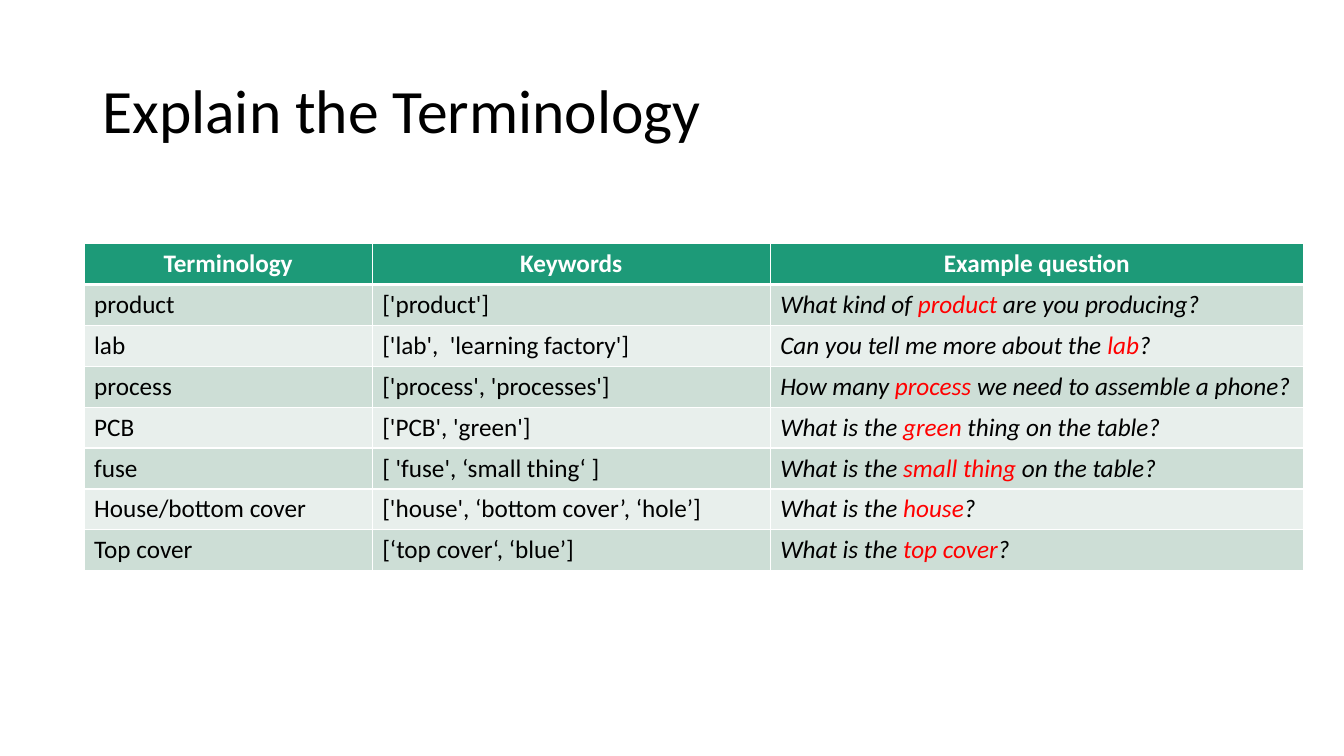
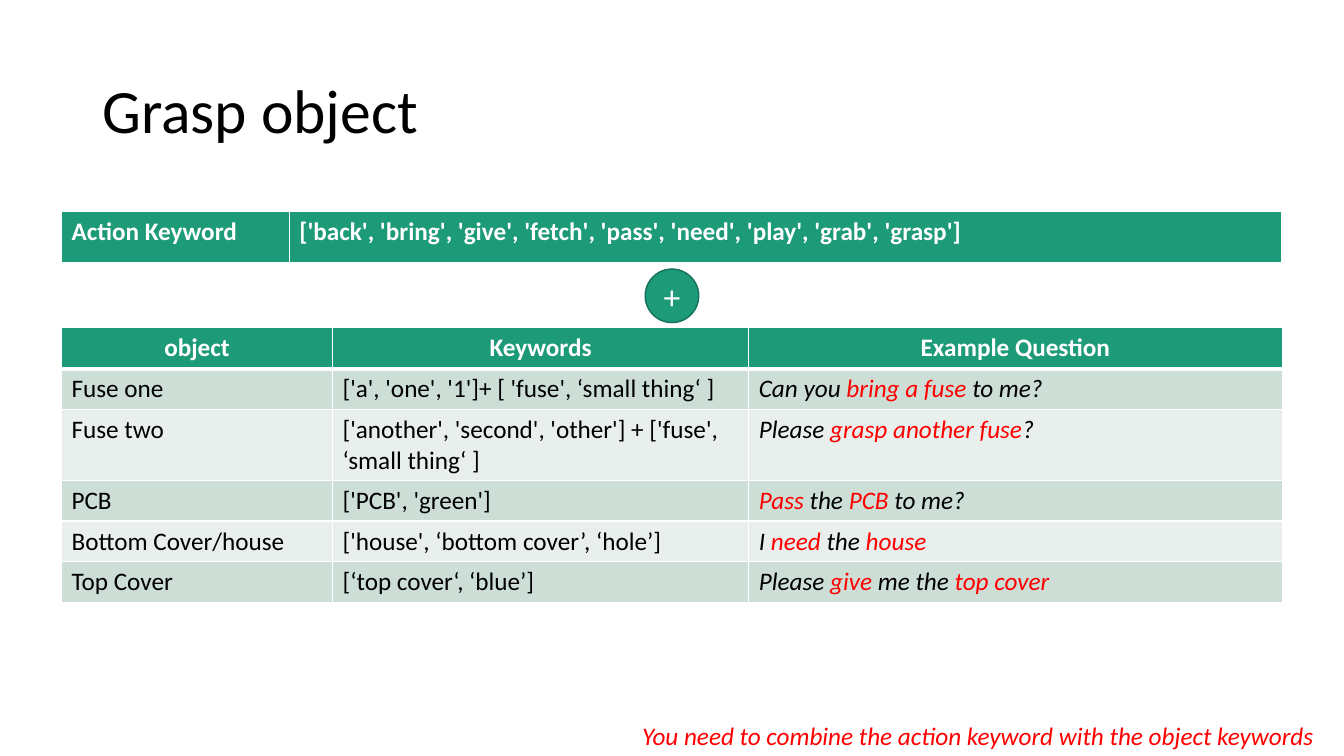
import pptx
import pptx.dml.color
import pptx.enum.shapes
import pptx.enum.text
import pptx.oxml.ns
import pptx.util
from dataclasses import dataclass
from lxml import etree

Cm = pptx.util.Cm
Pt = pptx.util.Pt
ALIGN = pptx.enum.text.PP_ALIGN
ANCHOR = pptx.enum.text.MSO_ANCHOR


@dataclass(frozen=True)
class Theme:
    font: str = "Calibri"
    green: str = "1D9A78"
    outline: str = "157259"
    bands: tuple = ("CDDED6", "E8EFEC")
    white: str = "FFFFFF"
    ink: str = "000000"
    accent: str = "FF0000"
    title: int = 44
    symbol: int = 24
    body: int = 18
    thin: int = 1
    thick: int = 3


T = Theme()
ROW = 1.03
QUESTION_W = 13.44

TERMS = [
    ("Terminology", "Keywords", "Example question"),
    ("product", "['product']", "What kind of *product* are you producing?"),
    ("lab", "['lab',  'learning factory']", "Can you tell me more about the *lab*?"),
    ("process", "['process', 'processes']", "How many *process* we need to assemble a phone?"),
    ("PCB", "['PCB', 'green']", "What is the *green* thing on the table?"),
    ("fuse", "[ 'fuse', ‘small thing‘ ]", "What is the *small thing* on the table?"),
    ("House/bottom cover", "['house', ‘bottom cover’, ‘hole’]", "What is the *house*?"),
    ("Top cover", "[‘top cover‘, ‘blue’]", "What is the *top cover*?"),
]
ACTIONS = [
    ("Action Keyword", "['back', 'bring', 'give', 'fetch', 'pass', 'need', 'play', 'grab', 'grasp']"),
]
OBJECTS = [
    ("object", "Keywords", "Example Question"),
    ("Fuse one", "['a', 'one', '1']+ [ 'fuse', ‘small thing‘ ]", "Can you *bring a fuse* to me?"),
    ("Fuse two", "['another', 'second', 'other'] + ['fuse', ‘small thing‘ ]", "Please *grasp another fuse*?"),
    ("PCB", "['PCB', 'green']", "*Pass* the *PCB* to me?"),
    ("Bottom Cover/house", "['house', ‘bottom cover’, ‘hole’]", "I *need* the *house*"),
    ("Top Cover", "[‘top cover‘, ‘blue’]", "Please *give* me the *top cover*"),
]
NOTE = "You need to combine the action keyword with the object keywords"

SLIDES = [
    {
        "title": "Explain the Terminology",
        "tables": [
            {"rows": TERMS, "at": (2.12, 6.14), "cols": (7.26, 10.03, QUESTION_W)},
        ],
    },
    {
        "title": "Grasp object",
        "tables": [
            {"rows": OBJECTS, "at": (1.55, 8.26), "cols": (6.83, 10.49, QUESTION_W)},
            {"rows": ACTIONS, "at": (1.55, 5.33), "cols": (5.74, 25), "row_h": 1.32,
             "header_align": ALIGN.LEFT},
        ],
        "plus": (16.26, 6.78, 1.35, 1.35),
        "note": (15.93, 18.03, 17.93, 1.02),
    },
]


def rgb(value):
    return pptx.dml.color.RGBColor.from_string(value)


def add_run(p, text, size=T.body, color=T.ink, bold=False, italic=False):
    r = p.add_run()
    r.text = text
    f = r.font
    f.name, f.size, f.bold, f.italic = T.font, Pt(size), bold, italic
    f.color.rgb = rgb(color)


def add_marked(p, text):
    for i, part in enumerate(text.split("*")):
        if part:
            add_run(p, part, color=T.accent if i % 2 else T.ink, italic=True)


def add_text(s, box, text, anchor=ANCHOR.TOP, spacing=None, **style):
    tf = s.shapes.add_textbox(*map(Cm, box)).text_frame
    tf.word_wrap = True
    tf.vertical_anchor = anchor
    p = tf.paragraphs[0]
    p.line_spacing = spacing
    add_run(p, text, **style)


def set_borders(cell, **widths):
    tc_pr = cell._tc.get_or_add_tcPr()
    for side in "LRTB":
        ln = etree.SubElement(tc_pr, pptx.oxml.ns.qn(f"a:ln{side}"), w=str(Pt(widths.get(side, T.thin))))
        fill = etree.SubElement(ln, pptx.oxml.ns.qn("a:solidFill"))
        etree.SubElement(fill, pptx.oxml.ns.qn("a:srgbClr"), val=T.white)


def add_table(s, rows, at, cols, row_h=ROW, header_align=ALIGN.CENTER):
    frame = s.shapes.add_table(len(rows), len(cols), *map(Cm, (*at, sum(cols), row_h * len(rows))))
    table = frame.table
    for column, width in zip(table.columns, cols):
        column.width = Cm(width)
    for i, row in enumerate(rows):
        table.rows[i].height = Cm(row_h)
        for j, text in enumerate(row):
            cell = table.cell(i, j)
            set_borders(cell, T=T.thick if i == 1 else T.thin, B=T.thick if i == 0 else T.thin)
            cell.fill.solid()
            cell.fill.fore_color.rgb = rgb(T.bands[(i - 1) % 2] if i else T.green)
            p = cell.text_frame.paragraphs[0]
            if i == 0:
                p.alignment = header_align
                add_run(p, text, color=T.white, bold=True)
            elif j == 2:
                add_marked(p, text)
            else:
                add_run(p, text)


def add_plus(s, box):
    sp = s.shapes.add_shape(pptx.enum.shapes.MSO_SHAPE.OVAL, *map(Cm, box))
    sp.shadow.inherit = False
    sp.fill.solid()
    sp.fill.fore_color.rgb = rgb(T.green)
    sp.line.color.rgb = rgb(T.outline)
    sp.line.width = Pt(T.thin)
    tf = sp.text_frame
    tf.vertical_anchor = ANCHOR.MIDDLE
    p = tf.paragraphs[0]
    p.alignment = ALIGN.CENTER
    add_run(p, "+", size=T.symbol, color=T.white)


def main():
    prs = pptx.Presentation()
    prs.slide_width, prs.slide_height = Cm(33.87), Cm(19.05)
    for content in SLIDES:
        s = prs.slides.add_slide(prs.slide_layouts[6])
        add_text(s, (2.33, 1.01, 29.21, 3.68), content["title"], ANCHOR.MIDDLE, 0.9, size=T.title)
        for table in content["tables"]:
            add_table(s, **table)
        if "plus" in content:
            add_plus(s, content["plus"])
        if "note" in content:
            add_text(s, content["note"], NOTE, color=T.accent, italic=True)
    prs.save("out.pptx")


if __name__ == "__main__":
    main()
